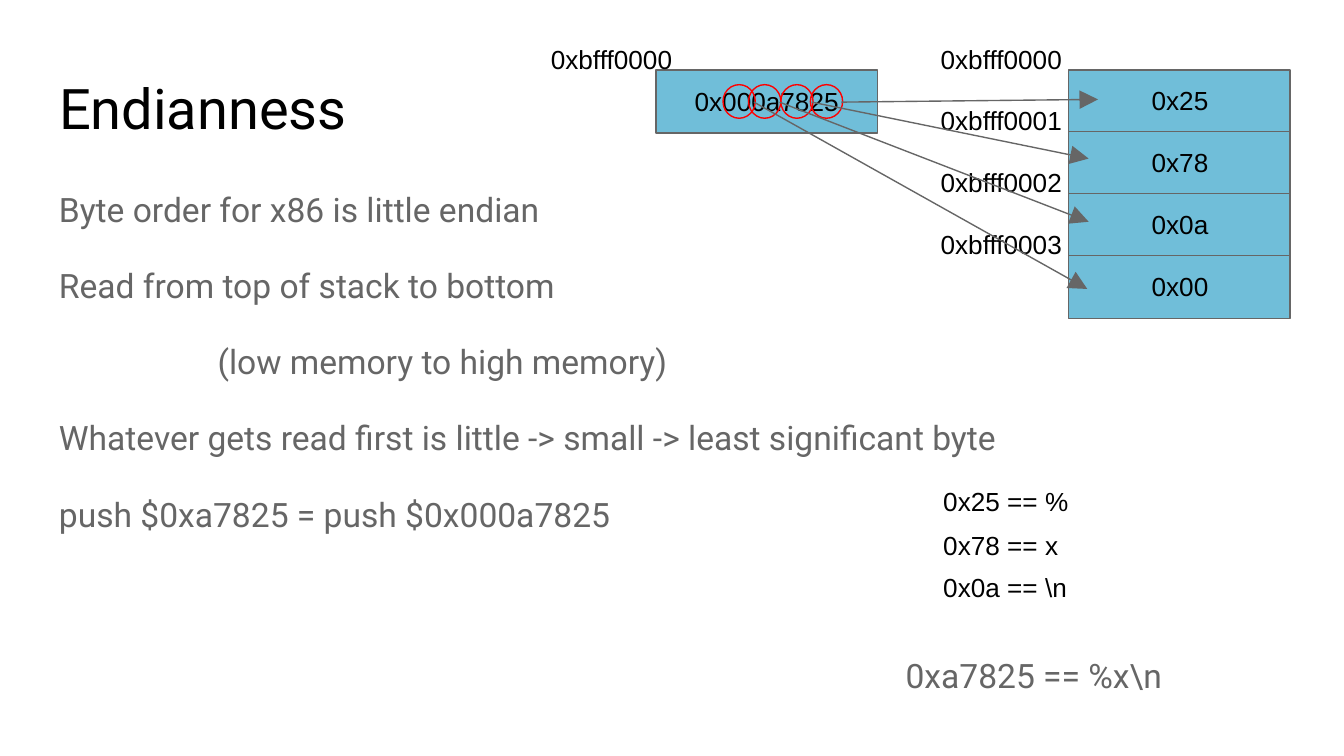
from dataclasses import dataclass

from lxml.etree import SubElement
from pptx import Presentation
from pptx.dml.color import RGBColor
from pptx.enum.shapes import MSO_CONNECTOR, MSO_SHAPE
from pptx.enum.text import MSO_ANCHOR, MSO_AUTO_SIZE, PP_ALIGN
from pptx.oxml.ns import qn
from pptx.util import Inches, Pt


@dataclass(frozen=True)
class Theme:
    black: RGBColor = RGBColor(0x00, 0x00, 0x00)
    gray: RGBColor = RGBColor(0x66, 0x66, 0x66)
    cell: RGBColor = RGBColor(0x70, 0xBE, 0xD9)
    ring: RGBColor = RGBColor(0xFF, 0x00, 0x00)
    prose_font: str = "Roboto"
    label_font: str = "Arial"
    title_size: int = 30
    prose_size: int = 18
    label_size: int = 14
    line_width: float = 0.75


theme = Theme()


def write(shape, *lines, size=theme.label_size, font=theme.label_font,
          color=theme.black, align=PP_ALIGN.LEFT, anchor=MSO_ANCHOR.TOP,
          spacing=1.0, after=0):
    """Fill a shape with one paragraph per line; return its paragraphs."""
    frame = shape.text_frame
    frame.word_wrap = True
    frame.auto_size = MSO_AUTO_SIZE.NONE
    frame.vertical_anchor = anchor
    frame.margin_left = frame.margin_right = Inches(0.1)
    frame.margin_top = frame.margin_bottom = Inches(0.1)
    for index, line in enumerate(lines):
        paragraph = frame.add_paragraph() if index else frame.paragraphs[0]
        paragraph.alignment = align
        paragraph.line_spacing = spacing
        paragraph.space_before = Pt(0)
        paragraph.space_after = Pt(after)
        run = paragraph.add_run()
        run.text = line
        run.font.size = Pt(size)
        run.font.name = font
        run.font.color.rgb = color
    return frame.paragraphs


def outline(kind, left, top, width, height, line, fill=None):
    """Add a preset shape with a thin line, unfilled unless a fill is given."""
    shape = slide.shapes.add_shape(
        kind, Inches(left), Inches(top), Inches(width), Inches(height))
    shape.shadow.inherit = False
    shape.line.color.rgb = line
    shape.line.width = Pt(theme.line_width)
    if fill is None:
        shape.fill.background()
    else:
        shape.fill.solid()
        shape.fill.fore_color.rgb = fill
    return shape


prs = Presentation()
prs.slide_width = Inches(10)
prs.slide_height = prs.slide_width * 9 // 16
slide = prs.slides.add_slide(prs.slide_layouts[5])
add_box = slide.shapes.add_textbox

# Title and explanation
title = slide.shapes.title
title.left, title.top = Inches(0.34), Inches(0.45)
title.width, title.height = Inches(3.19), Inches(0.63)
write(title, "Endianness", size=theme.title_size, font=theme.prose_font)

prose = dict(size=theme.prose_size, font=theme.prose_font, color=theme.gray,
             spacing=1.15, after=16)
explanation = add_box(Inches(0.34), Inches(1.26), Inches(9.32), Inches(3.74))
paragraphs = write(
    explanation,
    "Byte order for x86 is little endian",
    "Read from top of stack to bottom",
    "(low memory to high memory)",
    "Whatever gets read first is little -> small -> least significant byte",
    "push $0xa7825 = push $0x000a7825",
    **prose)
paragraphs[2]._p.get_or_add_pPr().set("marL", str(Inches(1.18)))

conclusion = add_box(Inches(6.64), Inches(4.73), Inches(2.17), Inches(0.47))
write(conclusion, "0xa7825 == %x\\n", **prose)

# The pushed word and the memory cells that hold its bytes
CELL_TOP, CELL_WIDTH, CELL_HEIGHT, CELL_PITCH = 0.52, 1.65, 0.47, 0.46
word = outline(MSO_SHAPE.RECTANGLE, 4.88, CELL_TOP, CELL_WIDTH, CELL_HEIGHT,
               theme.gray, theme.cell)
write(word, "0x000a7825", align=PP_ALIGN.CENTER, anchor=MSO_ANCHOR.MIDDLE)
word_address = add_box(Inches(4), Inches(0.22), Inches(1.19), Inches(0.4))
write(word_address, "0xbfff0000")

for row, byte in enumerate(["0x25", "0x78", "0x0a", "0x00"]):
    offset = row * CELL_PITCH
    outline(MSO_SHAPE.RECTANGLE, 7.95, CELL_TOP + offset, CELL_WIDTH,
            CELL_HEIGHT, theme.gray, theme.cell)
    address = add_box(Inches(6.9), Inches(0.22 + offset),
                      Inches(1.19), Inches(0.4))
    write(address, f"0xbfff000{row}")
    byte_label = add_box(Inches(8.47), Inches(0.53 + offset),
                         Inches(0.69), Inches(0.34))
    write(byte_label, byte)

# Each ringed byte, last one first, points to its cell
for ring_left, tip_x, tip_y in [(6.03, 8.17, 0.74), (5.81, 8.1, 1.18),
                                (5.57, 8.1, 1.65), (5.38, 8.09, 2.15)]:
    outline(MSO_SHAPE.OVAL, ring_left, 0.63, 0.24, 0.25, theme.ring)
    arrow = slide.shapes.add_connector(
        MSO_CONNECTOR.STRAIGHT, Inches(ring_left + 0.23), Inches(0.76),
        Inches(tip_x), Inches(tip_y))
    arrow.line.color.rgb = theme.gray
    arrow.line.width = Pt(theme.line_width)
    SubElement(arrow.line._get_or_add_ln(), qn("a:tailEnd"),
               type="triangle", w="lg", len="lg")
    SubElement(arrow._element.spPr, qn("a:effectLst"))

# Bytes read as characters
for top, meaning in [(3.51, "0x25 == %"), (3.84, "0x78 == x"),
                     (4.15, "0x0a == \\n")]:
    character = add_box(Inches(6.92), Inches(top), Inches(1.84), Inches(0.47))
    write(character, meaning)

prs.save("out.pptx")
